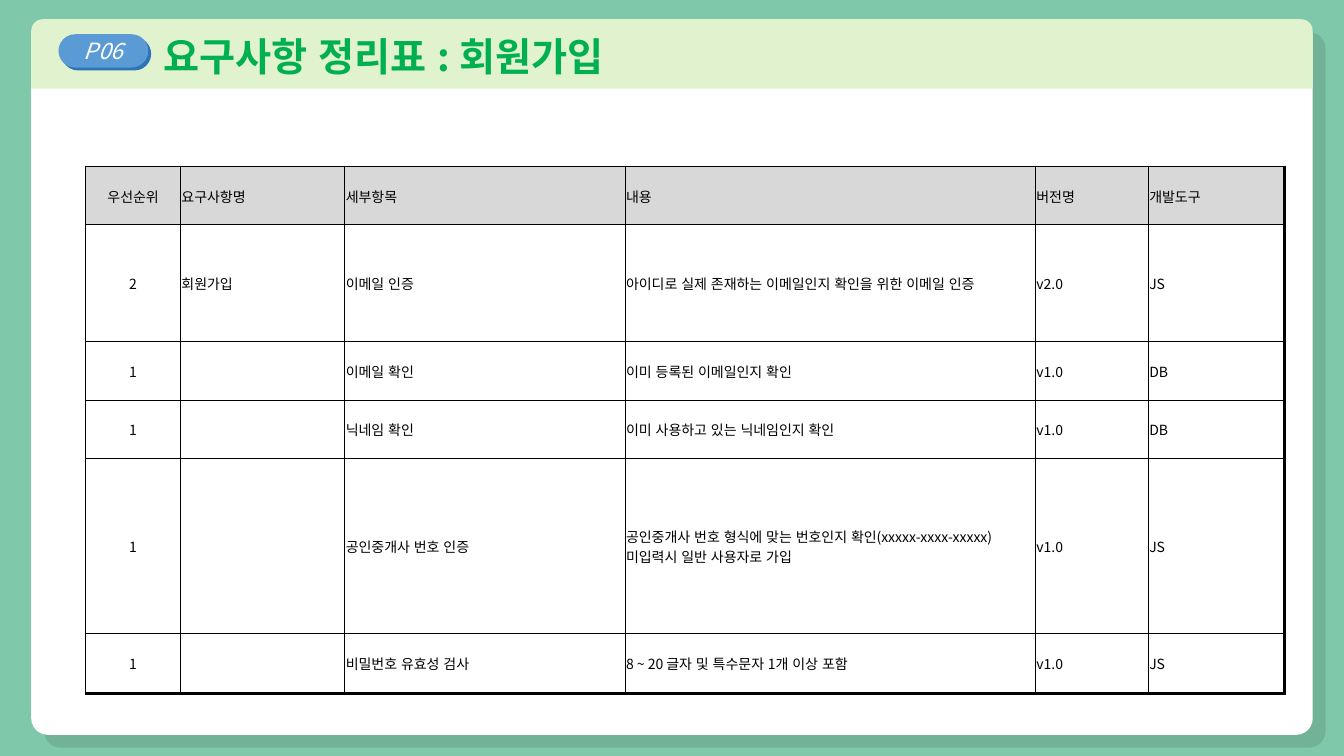
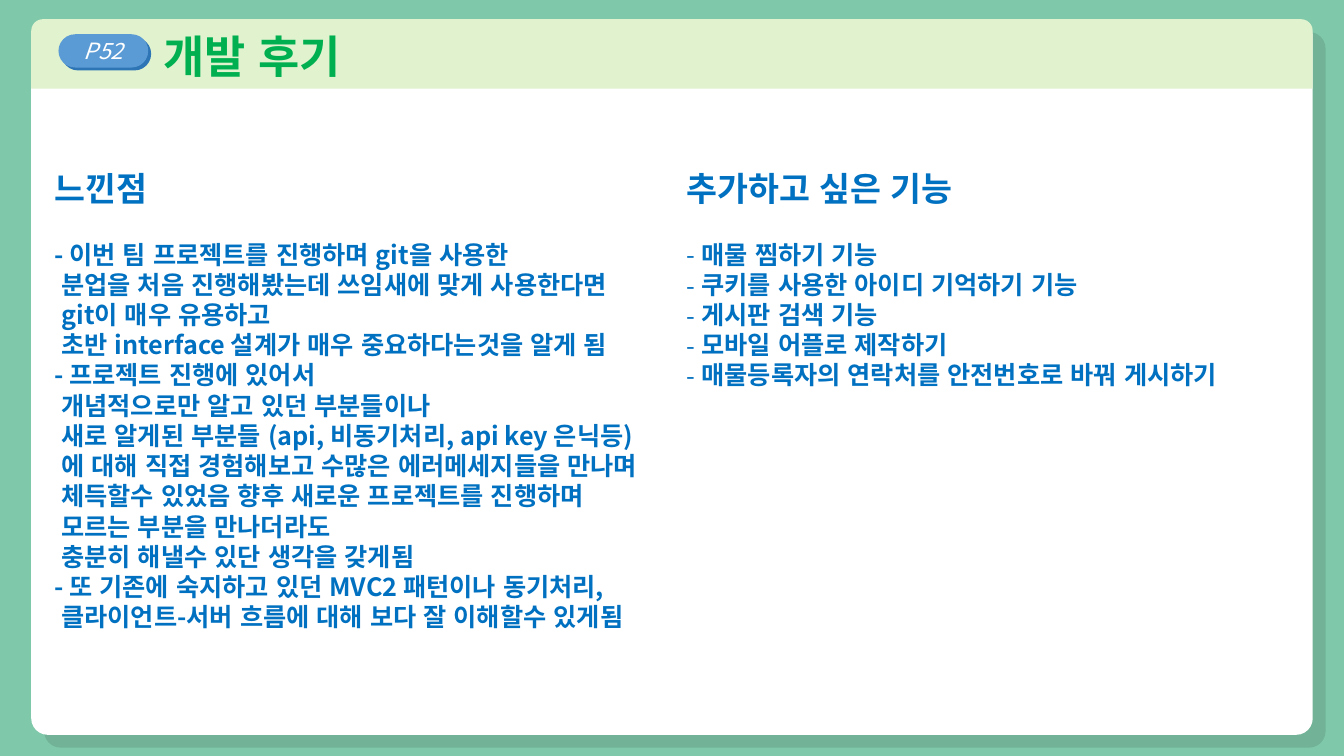
from dataclasses import dataclass

from pptx import Presentation
from pptx import util as u
from pptx.dml.color import RGBColor
from pptx.enum import lang as el, shapes as es, text as et
from pptx.oxml import parse_xml
from pptx.oxml.ns import nsdecls

PX = 9144  # 100 px to the inch
FONT = "Noto Sans CJK KR"
BACK = RGBColor(0x7F, 0xC8, 0xAA)
BAND = RGBColor(0xE1, 0xF2, 0xCE)
GREEN = RGBColor(0x00, 0xB0, 0x50)
SKY = RGBColor(0x5B, 0x9B, 0xD5)
NAVY = RGBColor(0x2E, 0x75, 0xB6)
BLUE = RGBColor(0x00, 0x70, 0xC0)
GREY = RGBColor(0xD8, 0xD8, 0xD8)
WHITE = RGBColor(0xFF, 0xFF, 0xFF)
BLACK = RGBColor(0x00, 0x00, 0x00)


@dataclass
class Box:
    x: int
    y: int
    w: int
    h: int

    def emu(self) -> tuple:
        return tuple(u.Emu(n * PX) for n in (self.x, self.y, self.w, self.h))


@dataclass
class Shade:
    color: RGBColor
    alpha: int
    dist: int


@dataclass
class Notes:
    box: Box
    head: str
    items: list
    hang: int
    mark: str = ""


CARD = Box(31, 19, 1271, 710)
HEAD = Box(31, 19, 1271, 69)
PILL = Box(58, 34, 89, 33)
GRID = Box(85, 165, 1189, 523)
COLS = [94, 163, 278, 407, 112, 135]
ROWS = [58, 116, 58, 58, 173, 60]
THIN, FIRM, THICK = 0.5, 1, 1.75

CELLS = [
    ["우선순위", "요구사항명", "세부항목", "내용", "버전명", "개발도구"],
    ["2", "회원가입", "이메일 인증",
     "아이디로 실제 존재하는 이메일인지 확인을 위한 이메일 인증", "v2.0", "JS"],
    ["1", "", "이메일 확인", "이미 등록된 이메일인지 확인", "v1.0", "DB"],
    ["1", "", "닉네임 확인", "이미 사용하고 있는 닉네임인지 확인", "v1.0", "DB"],
    ["1", "", "공인중개사 번호 인증",
     "공인중개사 번호 형식에 맞는 번호인지 확인(xxxxx-xxxx-xxxxx)\v"
     "미입력시 일반 사용자로 가입", "v1.0", "JS"],
    ["1", "", "비밀번호 유효성 검사", "8 ~ 20 글자 및 특수문자 1개 이상 포함", "v1.0", "JS"],
]

NOTES = [
    Notes(Box(44, 162, 671, 475), "느낀점", [
        "- 이번 팀 프로젝트를 진행하며 git을 사용한\v"
        "분업을 처음 진행해봤는데 쓰임새에 맞게 사용한다면\v"
        "git이 매우 유용하고\v"
        "초반 interface 설계가 매우 중요하다는것을 알게 됨",
        "- 프로젝트 진행에 있어서\v"
        "개념적으로만 알고 있던 부분들이나\v"
        "새로 알게된 부분들 (api, 비동기처리, api key 은닉등)\v"
        "에 대해 직접 경험해보고 수많은 에러메세지들을 만나며\v"
        "체득할수 있었음 향후 새로운 프로젝트를 진행하며\v"
        "모르는 부분을 만나더라도\v"
        "충분히 해낼수 있단 생각을 갖게됨",
        "- 또 기존에 숙지하고 있던 MVC2 패턴이나 동기처리,\v"
        "클라이언트-서버 흐름에 대해 보다 잘 이해할수 있게됨",
    ], 7),
    Notes(Box(671, 162, 622, 232), "추가하고 싶은 기능", [
        "매물 찜하기 기능",
        "쿠키를 사용한 아이디 기억하기 기능",
        "게시판 검색 기능",
        "모바일 어플로 제작하기",
        "매물등록자의 연락처를 안전번호로 바꿔 게시하기",
    ], 15, "-"),
]


def write(par, text: str, *, size: int, color: RGBColor, bold=False, italic=False,
          align=et.PP_ALIGN.LEFT, left=0, first=0, mark="", after=0) -> None:
    """Fill one paragraph with formatted text."""
    par.text = text
    par.alignment = align
    par.space_after = u.Pt(after)
    prop = par._p.get_or_add_pPr()
    prop.set("marL", str(left * PX))
    prop.set("indent", str(first * PX))
    if mark:
        prop.append(parse_xml(f'<a:buFont {nsdecls("a")} typeface="{FONT}"/>'))
        prop.append(parse_xml(f'<a:buChar {nsdecls("a")} char="{mark}"/>'))
    par.font.size = u.Pt(size)
    for run in par.runs:
        font = run.font
        font.size, font.bold, font.italic = u.Pt(size), bold, italic
        font.name, font.color.rgb = FONT, color
        font.language_id = el.MSO_LANGUAGE_ID.KOREAN
        font._element.append(parse_xml(f'<a:ea {nsdecls("a")} typeface="{FONT}"/>'))
    for gap in par._p.findall("{*}br"):
        gap.insert(0, parse_xml(f'<a:rPr {nsdecls("a")} sz="{size * 100}"/>'))


def panel(slide, kind, box: Box, fill: RGBColor, bend=None, shade=None):
    """Draw a plain filled shape, with an offset shadow if asked."""
    shape = slide.shapes.add_shape(kind, *box.emu())
    shape.shadow.inherit = False
    shape.fill.solid()
    shape.fill.fore_color.rgb = fill
    shape.line.fill.background()
    if bend is not None:
        shape.adjustments[0] = bend
    if shade:
        shape._element.spPr.find(".//{*}effectLst").append(parse_xml(
            f'<a:outerShdw {nsdecls("a")} blurRad="0" dist="{u.Pt(shade.dist)}" '
            f'dir="2700000" algn="tl" rotWithShape="0"><a:srgbClr val="{shade.color}">'
            f'<a:alpha val="{shade.alpha * 1000}"/></a:srgbClr></a:outerShdw>'))
    shape.text_frame.vertical_anchor = et.MSO_ANCHOR.MIDDLE
    return shape


def page(deck, code: str, title: str, size: int):
    """Add a slide with the shared card, title band and page pill."""
    slide = deck.slides.add_slide(deck.slide_layouts[6])
    slide.background.fill.solid()
    slide.background.fill.fore_color.rgb = BACK
    kind = es.MSO_SHAPE
    panel(slide, kind.ROUNDED_RECTANGLE, CARD, WHITE, 0.023, Shade(BLACK, 10, 13))
    band = panel(slide, kind.ROUND_2_SAME_RECTANGLE, HEAD, BAND)
    write(band.text_frame.paragraphs[0], title, size=size, color=GREEN, bold=True, left=118)
    pill = panel(slide, kind.ROUNDED_RECTANGLE, PILL, SKY, 0.5, Shade(NAVY, 100, 3))
    write(pill.text_frame.paragraphs[0], code, size=16, color=WHITE, italic=True,
          align=et.PP_ALIGN.CENTER)
    return slide


def edge(cell, side: str, width: float) -> None:
    """Add one black border to a cell."""
    cell._tc.get_or_add_tcPr().append(parse_xml(
        f'<a:ln{side} {nsdecls("a")} w="{u.Pt(width)}" cap="flat" cmpd="sng">'
        f'<a:solidFill><a:srgbClr val="{BLACK}"/></a:solidFill>'
        f'<a:prstDash val="solid"/></a:ln{side}>'))


def grid(slide) -> None:
    """Draw the requirements table with a heavier outer frame."""
    table = slide.shapes.add_table(len(ROWS), len(COLS), *GRID.emu()).table
    for col, width in zip(table.columns, COLS):
        col.width = u.Emu(width * PX)
    for row, height in zip(table.rows, ROWS):
        row.height = u.Emu(height * PX)
    for r, words in enumerate(CELLS):
        for c, text in enumerate(words):
            cell = table.cell(r, c)
            cell.margin_left = cell.margin_right = cell.margin_top = u.Emu(PX)
            cell.margin_bottom = 0
            cell.vertical_anchor = et.MSO_ANCHOR.MIDDLE
            edge(cell, "L", THIN if c else FIRM)
            edge(cell, "R", THICK if c == len(COLS) - 1 else THIN)
            edge(cell, "T", THIN if r else FIRM)
            edge(cell, "B", THICK if r == len(ROWS) - 1 else THIN)
            if r:
                cell.fill.background()
            else:
                cell.fill.solid()
                cell.fill.fore_color.rgb = GREY
            write(cell.text_frame.paragraphs[0], text, size=10, color=BLACK,
                  align=et.PP_ALIGN.LEFT if c else et.PP_ALIGN.CENTER)


def column(slide, notes: Notes) -> None:
    """Draw a heading with its list below."""
    frame = slide.shapes.add_textbox(*notes.box.emu()).text_frame
    frame.word_wrap = True
    style = dict(color=BLUE, bold=True)
    write(frame.paragraphs[0], notes.head, size=24, after=21.6, **style)
    for item in notes.items:
        write(frame.add_paragraph(), item, size=18, left=notes.hang,
              first=-notes.hang, mark=notes.mark, **style)


def main() -> None:
    deck = Presentation()
    deck.slide_width, deck.slide_height = u.Inches(13.33), u.Inches(7.5)

    # Requirements table
    grid(page(deck, "P06", "요구사항 정리표 : 회원가입", 28))

    # Review
    review = page(deck, "P52", "개발 후기", 32)
    for notes in NOTES:
        column(review, notes)

    deck.save("out.pptx")


if __name__ == "__main__":
    main()
